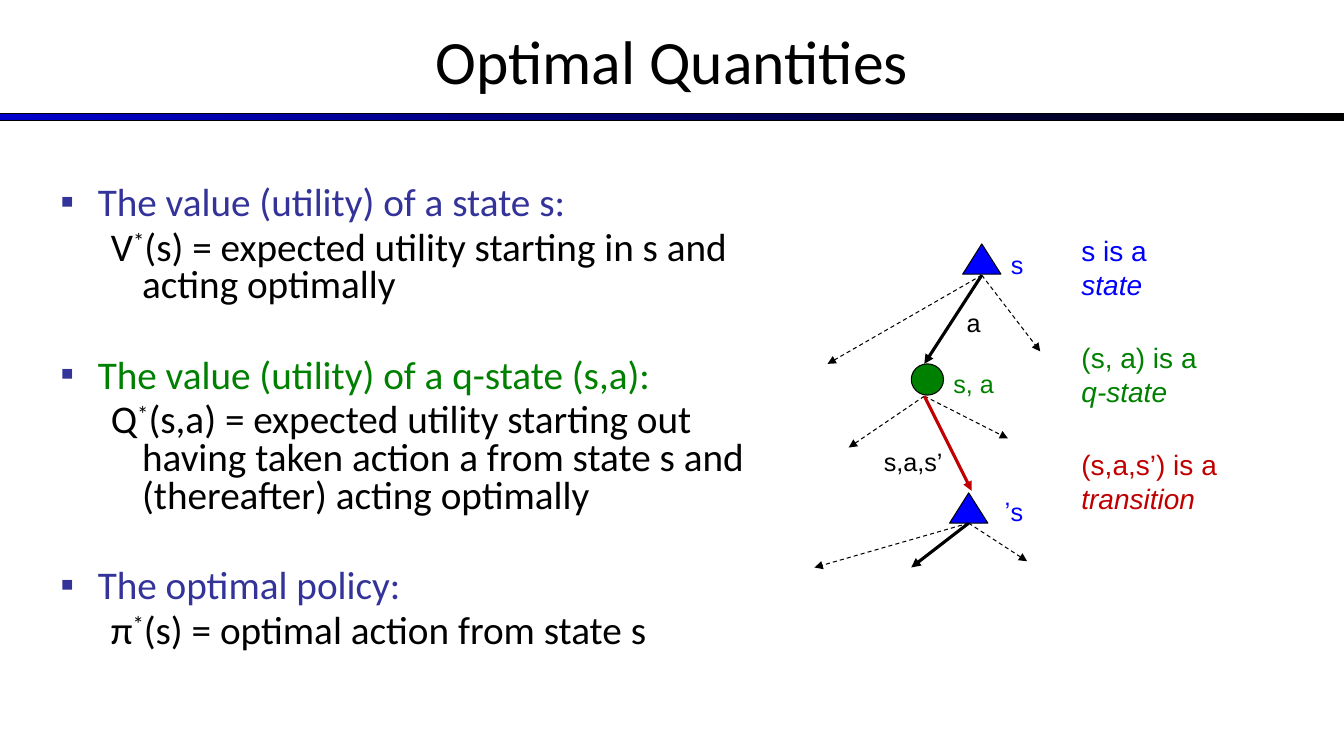
from pptx import Presentation
from pptx.dml.color import RGBColor
from pptx.enum.dml import MSO_LINE
from pptx.enum.shapes import MSO_CONNECTOR, MSO_SHAPE
from pptx.enum.text import MSO_ANCHOR, MSO_AUTO_SIZE, PP_ALIGN
from pptx.oxml.ns import qn
from pptx.util import Inches, Pt
from lxml import etree

RECTANGLE, TRIANGLE, CIRCLE = MSO_SHAPE.RECTANGLE, MSO_SHAPE.ISOSCELES_TRIANGLE, MSO_SHAPE.OVAL
STRAIGHT, DASH = MSO_CONNECTOR.STRAIGHT, MSO_LINE.DASH
CENTER, LEFT, RIGHT = PP_ALIGN.CENTER, PP_ALIGN.LEFT, PP_ALIGN.RIGHT
MIDDLE, TOP = MSO_ANCHOR.MIDDLE, MSO_ANCHOR.TOP
FIXED = MSO_AUTO_SIZE.NONE

CELL = Inches(0.1)
COLUMNS, ROWS = 133.33, 75
COLORS = {"black": "000000", "bar": "0000CC", "heading": "333399",
          "state": "0000FF", "q-state": "008000", "transition": "C00000"}

# Heading, its colour, symbol and definition
QUANTITIES = [
    ("The value (utility) of a state s:", "heading", "V",
     "(s) = expected utility starting in s and acting optimally"),
    ("The value (utility) of a q-state (s,a):", "q-state", "Q",
     "(s,a) = expected utility starting out having taken action a "
     "from state s and (thereafter) acting optimally"),
    ("The optimal policy:", "heading", "π", "(s) = optimal action from state s"),
]
# Text, colour, column, row, width
NODE_LABELS = [("a", "black", 94.9, 30, 3.2), ("s", "state", 99.3, 24.2, 3.2),
               ("s, a", "q-state", 93.6, 36.1, 6.4), ("s,a,s’", "black", 86.7, 43.8, 9)]
# Opening words, term, row, width
LEGEND = [("s is a ", "state", 22.7, 11.5), ("(s, a) is a ", "q-state", 33.3, 14.2),
          ("(s,a,s’) is a \v", "transition", 43.9, 23.7)]


def cells(*counts):
    return [round(count * CELL) for count in counts]


def rgb(name):
    return RGBColor.from_string(COLORS[name])


def add_span(para, text, color, size, face="Arial", italic=False):
    """Add a run; a vertical tab in the text becomes a line break."""
    words, *breaks = text.split("\v")
    span = para.add_run()
    span.text = words
    span.font.name, span.font.size, span.font.italic = face, Pt(size), italic
    span.font.color.rgb = rgb(color)
    for _ in breaks:
        para.add_line_break()
    return span


def place(box, left, top, width, height):
    box.left, box.top, box.width, box.height = cells(left, top, width, height)
    box.text_frame.auto_size = FIXED


def fill_title(title):
    place(title, 0, -0.3, COLUMNS, 12.5)
    title.text_frame.vertical_anchor = MIDDLE
    para = title.text_frame.paragraphs[0]
    para.alignment = CENTER
    add_span(para, "Optimal Quantities", "black", 44, "Calibri")


def set_outline(para, indent, hanging, bullet=None):
    """Set a hanging indent and an optional square bullet."""
    props = para._p.get_or_add_pPr()
    props.set("marL", str(Inches(indent)))
    props.set("indent", str(-Inches(hanging)))
    if bullet:
        color = etree.SubElement(props, qn("a:buClr"))
        etree.SubElement(color, qn("a:srgbClr"), val=COLORS["heading"])
        etree.SubElement(props, qn("a:buFont"), typeface="Arial")
        etree.SubElement(props, qn("a:buChar"), char=bullet)
    else:
        etree.SubElement(props, qn("a:buNone"))
    para.alignment = LEFT
    para.line_spacing = 0.8


def fill_body(body):
    place(body, 5, 18, 73.3, 48.7)
    frame = body.text_frame
    frame.vertical_anchor = TOP
    for index, (heading, color, symbol, definition) in enumerate(QUANTITIES):
        para = frame.add_paragraph() if index else frame.paragraphs[0]
        set_outline(para, 0.37, 0.37, "▪")
        para.space_before = Pt(37.7 if index else 0)
        add_span(para, heading, color, 28, "Calibri")

        para = frame.add_paragraph()
        para.level = 1
        set_outline(para, 0.81, 0.31)
        para.space_before = Pt(5)
        add_span(para, symbol, "black", 28, "Calibri")
        star = add_span(para, "*", "black", 28, "Calibri")
        star.font._element.set("baseline", "30000")
        add_span(para, definition, "black", 28, "Calibri")


def add_figure(page, kind, color, left, top, width, height):
    figure = page.shapes.add_shape(kind, *cells(left, top, width, height))
    figure.shadow.inherit = False
    figure.fill.solid()
    figure.fill.fore_color.rgb = rgb(color)
    figure.line.color.rgb = rgb("black")
    figure.line.width = Pt(0.75)
    return figure


def add_title_bar(page):
    bar = add_figure(page, RECTANGLE, "bar", 0, 11.3, COLUMNS, 0.7)
    bar.fill.gradient()
    bar.fill.gradient_angle = 0
    for stop, color in zip(bar.fill.gradient_stops, ("bar", "black")):
        stop.color.rgb = rgb(color)


def add_arrow(page, start, offset, color="black", bold=False):
    end = [origin + step for origin, step in zip(start, offset)]
    arrow = page.shapes.add_connector(STRAIGHT, *cells(*start, *end))
    arrow.line.color.rgb = rgb(color)
    arrow.line.width = Pt(2.25 if bold else 0.75)
    if not bold:
        arrow.line.dash_style = DASH
    etree.SubElement(arrow.line._get_or_add_ln(), qn("a:tailEnd"), type="triangle")
    etree.SubElement(arrow._element.spPr, qn("a:effectLst"))


def add_state_fan(page, start, depth):
    """Draw the three actions that leave a state."""
    add_arrow(page, start, (-15.3, depth))
    add_arrow(page, start, (5.8, 0.86 * depth))
    add_arrow(page, start, (-5.7, depth), bold=True)


def add_label(page, left, top, width, height):
    box = page.shapes.add_textbox(*cells(left, top, width, height))
    box.text_frame.word_wrap = True
    return box.text_frame.paragraphs[0]


def add_tree(page):
    add_figure(page, TRIANGLE, "state", 95.5, 24.2, 3.8, 3)
    add_figure(page, TRIANGLE, "state", 94.2, 48.9, 3.8, 3)
    add_state_fan(page, (97.4, 27.3), 8.8)
    add_figure(page, CIRCLE, "q-state", 90.4, 36.1, 3.2, 3.1)
    outcome = (91.7, 39.3)
    add_arrow(page, outcome, (-7.5, 5.1))
    add_arrow(page, outcome, (8.3, 4.2))
    add_arrow(page, outcome, (4.7, 9.4), "transition", bold=True)
    add_state_fan(page, (96.1, 51.9), 4.4)
    for text, color, left, top, width in NODE_LABELS:
        add_span(add_label(page, left, top, width, 4), text, color, 18)
    successor = add_label(page, 98.3, 48.7, 4.2, 4)
    successor.alignment = RIGHT
    successor._p.get_or_add_pPr().set("rtl", "1")
    add_span(successor, "s’", "state", 18)


def add_legend(page):
    for opening, term, top, width in LEGEND:
        para = add_label(page, 106.3, top, width, 7.7)
        add_span(para, opening, term, 20)
        add_span(para, term, term, 20, italic=True)


def main():
    deck = Presentation()
    deck.slide_width, deck.slide_height = cells(COLUMNS, ROWS)
    page = deck.slides.add_slide(deck.slide_layouts[1])
    title, body = page.placeholders
    fill_title(title)
    add_title_bar(page)
    fill_body(body)
    add_tree(page)
    add_legend(page)
    deck.save("out.pptx")


if __name__ == "__main__":
    main()
